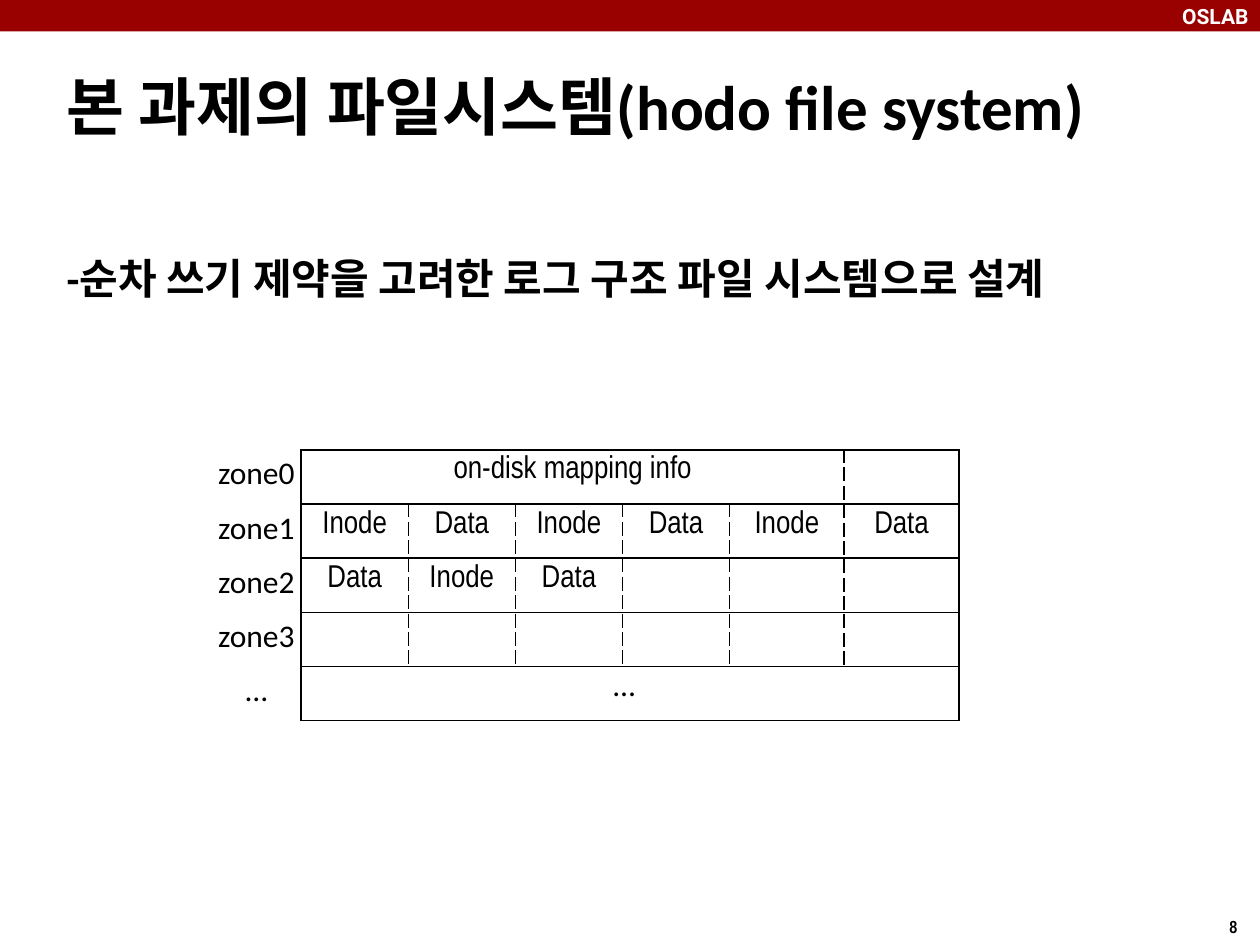
from lxml import etree
from pptx import Presentation
from pptx.dml.color import RGBColor
from pptx.enum.shapes import MSO_SHAPE
from pptx.enum.text import MSO_ANCHOR, PP_ALIGN
from pptx.oxml.ns import qn
from pptx.util import Inches, Pt

RECTANGLE = MSO_SHAPE.RECTANGLE
MIDDLE, TOP = MSO_ANCHOR.MIDDLE, MSO_ANCHOR.TOP
LEFT, CENTER, RIGHT = PP_ALIGN.LEFT, PP_ALIGN.CENTER, PP_ALIGN.RIGHT

BLACK, WHITE, CRIMSON = "000000", "FFFFFF", "990000"
ROW_HEIGHT = 0.43
COLUMN_WIDTHS = [0.85] * 4 + [0.91] * 2
ZONES = [
    ("zone0", ["on-disk mapping info"], 5),
    ("zone1", ["Inode", "Data"] * 3, 1),
    ("zone2", ["Data", "Inode", "Data"], 1),
    ("zone3", [], 1),
    ("…", [], 6),
]


def paint(target, color):
    """Give a fill or font the solid colour named by a hex string."""
    if hasattr(target, "solid"):
        target.solid()
        target.fore_color.rgb = RGBColor.from_string(color)
    else:
        target.color.rgb = RGBColor.from_string(color)


def style_paragraph(paragraph, size, face, color=BLACK, bold=False, align=LEFT):
    """Set the alignment and font of one paragraph."""
    paragraph.alignment = align
    font = paragraph.font
    font.size, font.name, font.bold = Pt(size), face, bold
    paint(font, color)


def add_text(slide, box, text, size, face="Calibri", anchor=TOP, wrap=True,
             inset=(0.1, 0.05), **style):
    """Place one line of text in a box given in inches."""
    frame = slide.shapes.add_textbox(*map(Inches, box)).text_frame
    frame.word_wrap = wrap
    frame.vertical_anchor = anchor
    frame.margin_left = frame.margin_right = Inches(inset[0])
    frame.margin_top = frame.margin_bottom = Inches(inset[1])
    paragraph = frame.paragraphs[0]
    paragraph.text = text
    style_paragraph(paragraph, size, face, **style)


def add_border(cell, side, dash):
    """Draw one black cell edge, one point wide."""
    edge = etree.SubElement(cell._tc.get_or_add_tcPr(), qn(f"a:ln{side}"), w=str(Pt(1)))
    fill = etree.SubElement(edge, qn("a:solidFill"))
    etree.SubElement(fill, qn("a:srgbClr"), val=BLACK)
    etree.SubElement(edge, qn("a:prstDash"), val=dash)


def add_header(slide, left, top, width, height):
    """Draw the top band with the lab name at its right end."""
    band = slide.shapes.add_shape(RECTANGLE, *map(Inches, (left, top, width, height)))
    band.shadow.inherit = False
    paint(band.fill, CRIMSON)
    band.line.fill.background()
    lab_box = (left + width - 2.02, top + 0.03, 1.97, 0.2)
    add_text(slide, lab_box, "OSLAB", 12, "Roboto", inset=(0.04, 0),
             color=WHITE, bold=True, align=RIGHT)


def add_zone_map(slide, left, top):
    """Draw the zone table with its row labels and closing ellipsis."""
    columns = len(COLUMN_WIDTHS)
    width, height = sum(COLUMN_WIDTHS), ROW_HEIGHT * len(ZONES)
    table = slide.shapes.add_table(len(ZONES), columns, *map(Inches, (left, top, width, height))).table
    table.first_row = table.horz_banding = False
    for column, column_width in zip(table.columns, COLUMN_WIDTHS):
        column.width = Inches(column_width)

    for row, (zone, blocks, span) in enumerate(ZONES):
        table.rows[row].height = Inches(ROW_HEIGHT)
        if span > 1:
            table.cell(row, 0).merge(table.cell(row, span - 1))
        for column in range(columns):
            cell = table.cell(row, column)
            end = column + (cell.span_width if cell.is_merge_origin else 1)
            add_border(cell, "L", "solid" if column == 0 else "sysDash")
            add_border(cell, "R", "solid" if end == columns else "sysDash")
            add_border(cell, "T", "solid")
            add_border(cell, "B", "solid")
            paint(cell.fill, WHITE)
            paragraph = cell.text_frame.paragraphs[0]
            if column < len(blocks):
                paragraph.text = blocks[column]
            style_paragraph(paragraph, 18, "Arial Narrow", align=CENTER)
        label_box = (left - 0.78, top - 0.02 + row * ROW_HEIGHT, 0.85, 0.4)
        add_text(slide, label_box, zone, 18, align=CENTER)

    ellipsis_box = (left + 2.08, top + 1.66, 0.97, 0.4)
    add_text(slide, ellipsis_box, "…", 18, align=CENTER)


def main():
    """Build the file system slide and save it."""
    deck = Presentation()
    deck.slide_width, deck.slide_height = Inches(10), Inches(7.5)
    slide = deck.slides.add_slide(deck.slide_layouts[6])
    add_header(slide, 0, 0, 10, 0.25)
    add_text(slide, (9.66, 7.22, 0.34, 0.27), "8", 10, "Arial Narrow", wrap=False, bold=True)
    add_text(slide, (0.43, 0.42, 9.15, 0.83), "본 과제의 파일시스템(hodo file system)",
             36, anchor=MIDDLE, bold=True)
    add_text(slide, (0.43, 1.55, 9.15, 1.31), "-순차 쓰기 제약을 고려한 로그 구조 파일 시스템으로 설계",
             24, anchor=MIDDLE, bold=True)
    add_zone_map(slide, 2.39, 3.57)
    deck.save("out.pptx")


if __name__ == "__main__":
    main()
